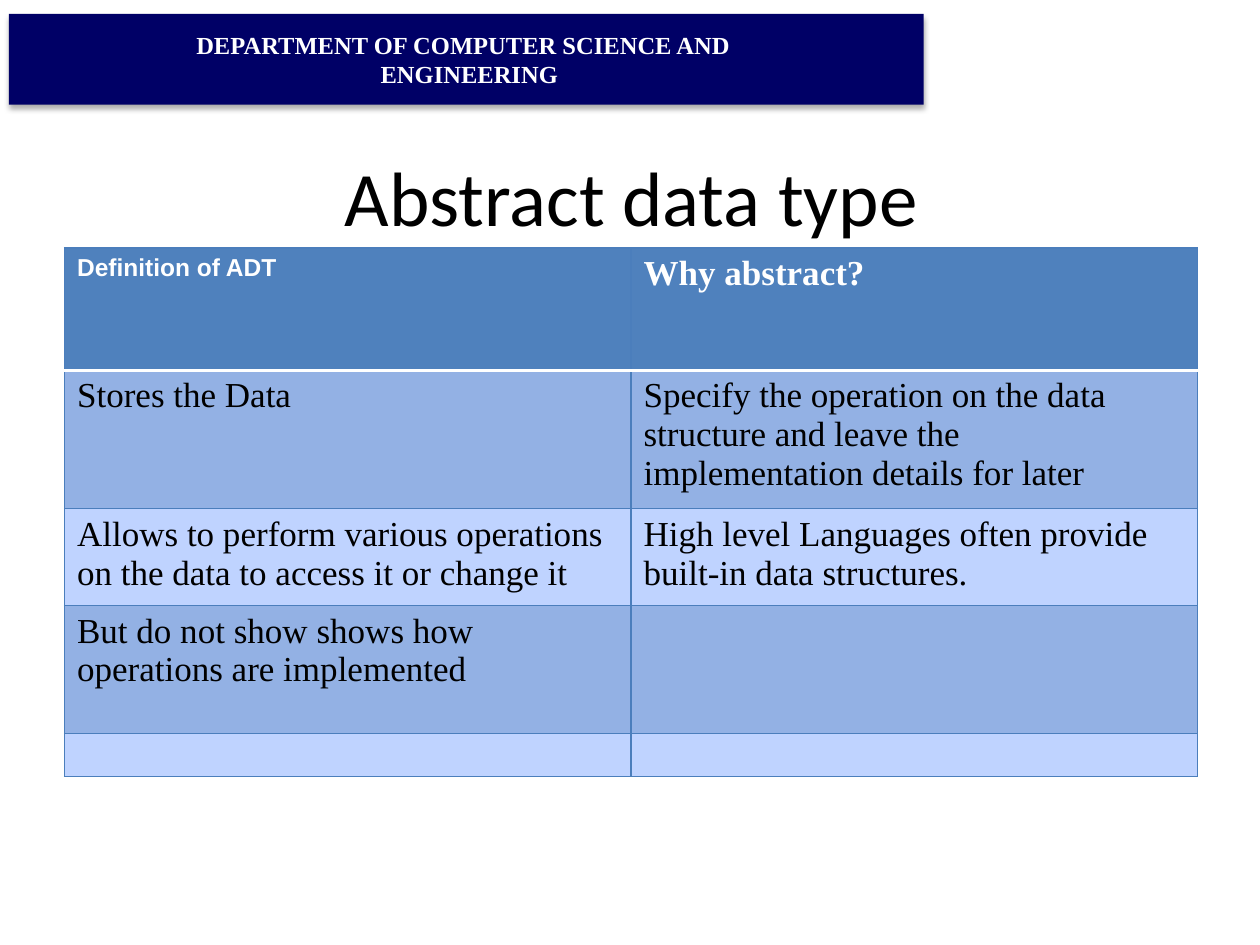
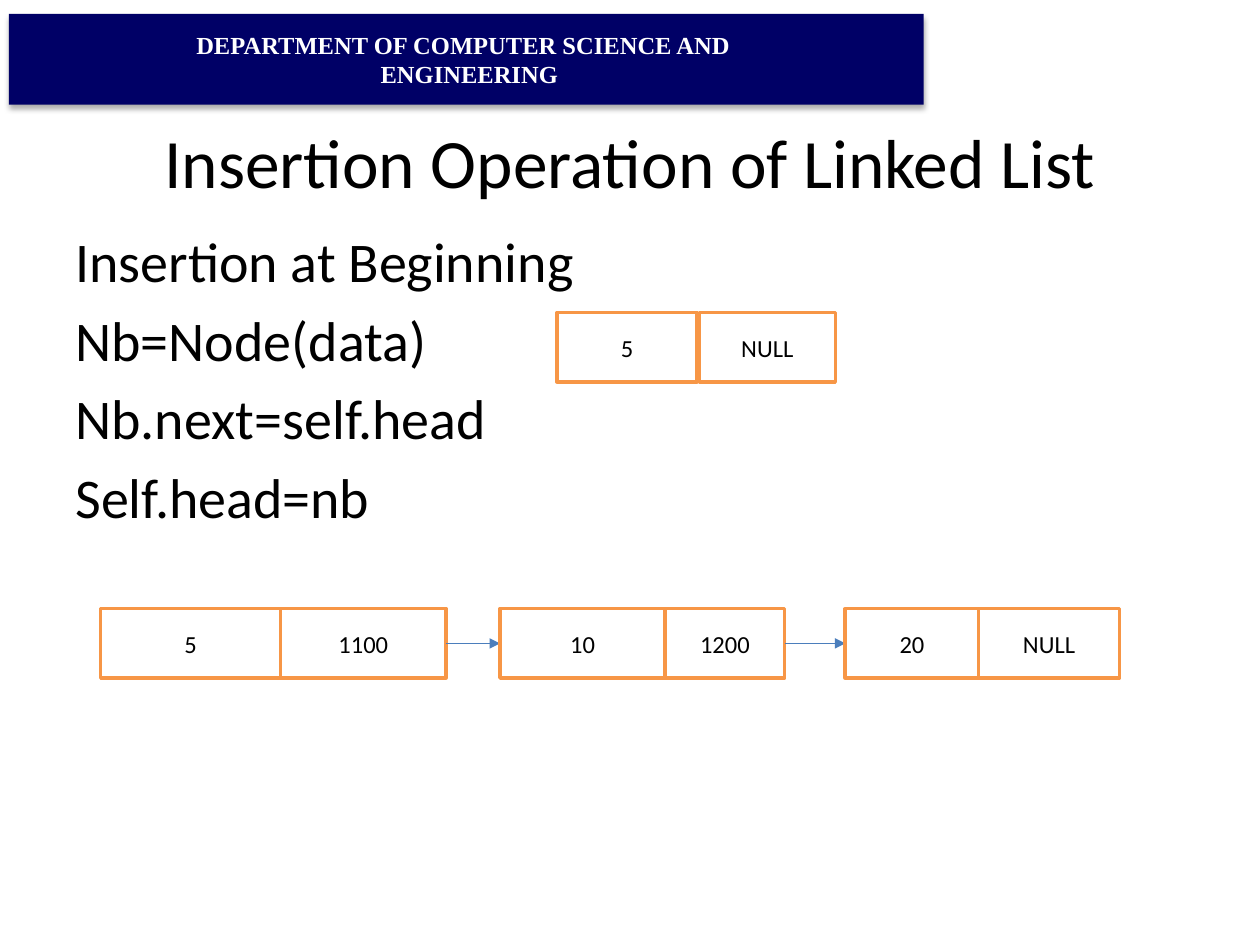
import pptx
import pptx.dml.color
import pptx.enum.shapes
import pptx.enum.text
import pptx.oxml
import pptx.oxml.ns
import pptx.util

Cm = pptx.util.Cm
Pt = pptx.util.Pt
Align = pptx.enum.text.PP_ALIGN
Anchor = pptx.enum.text.MSO_ANCHOR
Shape = pptx.enum.shapes.MSO_SHAPE

NAVY, BLUE, EDGE, ORANGE = "000066", "4F81BD", "4B7EBC", "F79646"
BLACK, WHITE = "000000", "FFFFFF"
BANDS = ["93B1E4", "BFD3FF"]
SANS, SERIF = "Calibri", "Times New Roman"
NS = pptx.oxml.ns.nsdecls("a")


def color(code):
    return pptx.dml.color.RGBColor.from_string(code)


def xml(text):
    """Parse one drawing element; the name space goes after its tag."""
    tag, rest = text.split(" ", 1)
    return pptx.oxml.parse_xml(f"{tag} {NS} {rest}")


def write(frame, lines, size, face=SANS, ink=BLACK, bold=False,
          align=Align.LEFT, anchor=Anchor.TOP, before=0):
    frame.word_wrap = True
    frame.vertical_anchor = anchor
    for n, line in enumerate(lines):
        par = frame.add_paragraph() if n else frame.paragraphs[0]
        par.text = line
        par.alignment = align
        par.space_before = Pt(before)
        font = par.font
        font.name, font.size, font.bold = face, Pt(size), bold
        font.color.rgb = color(ink)


def add_text(slide, box, lines, size, **style):
    area = slide.shapes.add_textbox(*map(Cm, box))
    write(area.text_frame, lines, size, **style)


def add_rect(slide, box, fill, edge=None):
    rect = slide.shapes.add_shape(Shape.RECTANGLE, *map(Cm, box))
    rect.shadow.inherit = False
    rect.fill.solid()
    rect.fill.fore_color.rgb = color(fill)
    if edge:
        rect.line.color.rgb = color(edge)
        rect.line.width = Pt(2)
    else:
        rect.line.fill.background()
    return rect


# Shared parts
def add_banner(slide):
    rect = add_rect(slide, (0.18, 0.28, 18.44, 1.83), NAVY)
    shade = xml(f'<a:outerShdw blurRad="{Pt(3.5)}" dist="{Pt(2.2)}" dir="5400000" '
                f'rotWithShape="0"><a:srgbClr val="{BLACK}"><a:alpha val="32000"/>'
                '</a:srgbClr></a:outerShdw>')
    rect.element.spPr.find(pptx.oxml.ns.qn("a:effectLst")).append(shade)
    write(rect.text_frame, ["DEPARTMENT OF COMPUTER SCIENCE AND ", " ENGINEERING"],
          14, SERIF, WHITE, True, Align.CENTER, Anchor.MIDDLE)


def add_title(slide, box, text, size):
    add_text(slide, box, [text], size, align=Align.CENTER, anchor=Anchor.MIDDLE)


# Table of the data type
def set_edge(cell, side, ink, width):
    cell._tc.get_or_add_tcPr().append(xml(
        f'<a:{side} w="{Pt(width)}"><a:solidFill><a:srgbClr val="{ink}"/>'
        f'</a:solidFill></a:{side}>'))


def add_grid(slide, left, top, width, rows, heights):
    cols = len(rows[0])
    grid = slide.shapes.add_table(len(rows), cols, Cm(left), Cm(top),
                                  Cm(width), Cm(sum(heights))).table
    grid.first_row = grid.horz_banding = False
    for row, height in zip(grid.rows, heights):
        row.height = Cm(height)
    for r, row in enumerate(rows):
        for c, text in enumerate(row):
            cell = grid.cell(r, c)
            thin, rule = (EDGE, 0.75), (WHITE, 2)
            edges = {"lnL": thin, "lnR": thin,
                     "lnT": rule if r == 1 else thin,
                     "lnB": rule if r == 0 else thin}
            for side, line in edges.items():
                set_edge(cell, side, *line)
            cell.fill.solid()
            cell.fill.fore_color.rgb = color(BANDS[(r - 1) % 2] if r else BLUE)
            if text:
                small = r == 0 and c == 0
                write(cell.text_frame, [text], 14 if small else 20,
                      "Arial" if small else SERIF,
                      BLACK if r else WHITE, r == 0)
            else:
                # An empty cell takes its height from the end mark
                cell.text_frame.paragraphs[0]._p.append(
                    xml('<a:endParaRPr sz="1400"/>'))


def type_slide(slide):
    add_banner(slide)
    add_title(slide, (1.3, 2.36, 22.86, 3.18), "Abstract data type", 44)
    rows = [
        ("Definition of ADT", "Why abstract?"),
        ("Stores the Data",
         "Specify the operation on the data structure and leave the "
         "implementation details for later"),
        ("Allows to perform various operations on the data to access it or change it",
         "High level Languages often provide built-in data structures."),
        ("But do not show shows how operations are implemented", ""),
        ("", ""),
    ]
    add_grid(slide, 1.3, 5, 22.84, rows, [2.46, 2.64, 1.85, 2.59, 0.86])


# Linked list
def add_node(slide, left, top, parts, gap=0, height=1.4):
    """Draw the cells of a node side by side and return its right edge."""
    for text, width in parts:
        rect = add_rect(slide, (left, top, width, height), WHITE, ORANGE)
        write(rect.text_frame, [text], 14, align=Align.CENTER, anchor=Anchor.MIDDLE)
        left += width + gap
    return left - gap


def add_arrow(slide, start, end, y):
    line = slide.shapes.add_connector(pptx.enum.shapes.MSO_CONNECTOR.STRAIGHT,
                                      Cm(start), Cm(y), Cm(end), Cm(y))
    line.line.color.rgb = color(EDGE)
    line.line.width = Pt(0.75)
    line.line._get_or_add_ln().append(xml('<a:tailEnd type="triangle"/>'))
    line._element.spPr.append(xml("<a:effectLst />"))


def add_chain(slide, left, top, nodes, gaps):
    for n, node in enumerate(nodes):
        end = add_node(slide, left, top, node)
        if n < len(gaps):
            left = end + gaps[n]
            add_arrow(slide, end, left, top + 0.7)


def list_slide(slide):
    add_title(slide, (1.27, 2.54, 22.86, 1.4),
              "Insertion Operation of Linked List", 39.6)
    add_text(slide, (1.27, 4.45, 22.86, 12.57),
             ["Insertion at Beginning", "Nb=Node(data)",
              "Nb.next=self.head", "Self.head=nb"], 32, before=6.4)
    add_banner(slide)
    add_node(slide, 11.23, 6.3, [("5", 2.82), ("NULL", 2.74)], gap=0.05)
    add_chain(slide, 2.03, 12.27,
              [[("5", 3.63), ("1100", 3.33)],
               [("10", 3.33), ("1200", 2.41)],
               [("20", 2.69), ("NULL", 2.84)]], [1.09, 1.22])


def main():
    deck = pptx.Presentation()
    deck.slide_width, deck.slide_height = Cm(25.4), Cm(19.05)
    for build in (type_slide, list_slide):
        build(deck.slides.add_slide(deck.slide_layouts[6]))
    deck.save("out.pptx")


if __name__ == "__main__":
    main()
